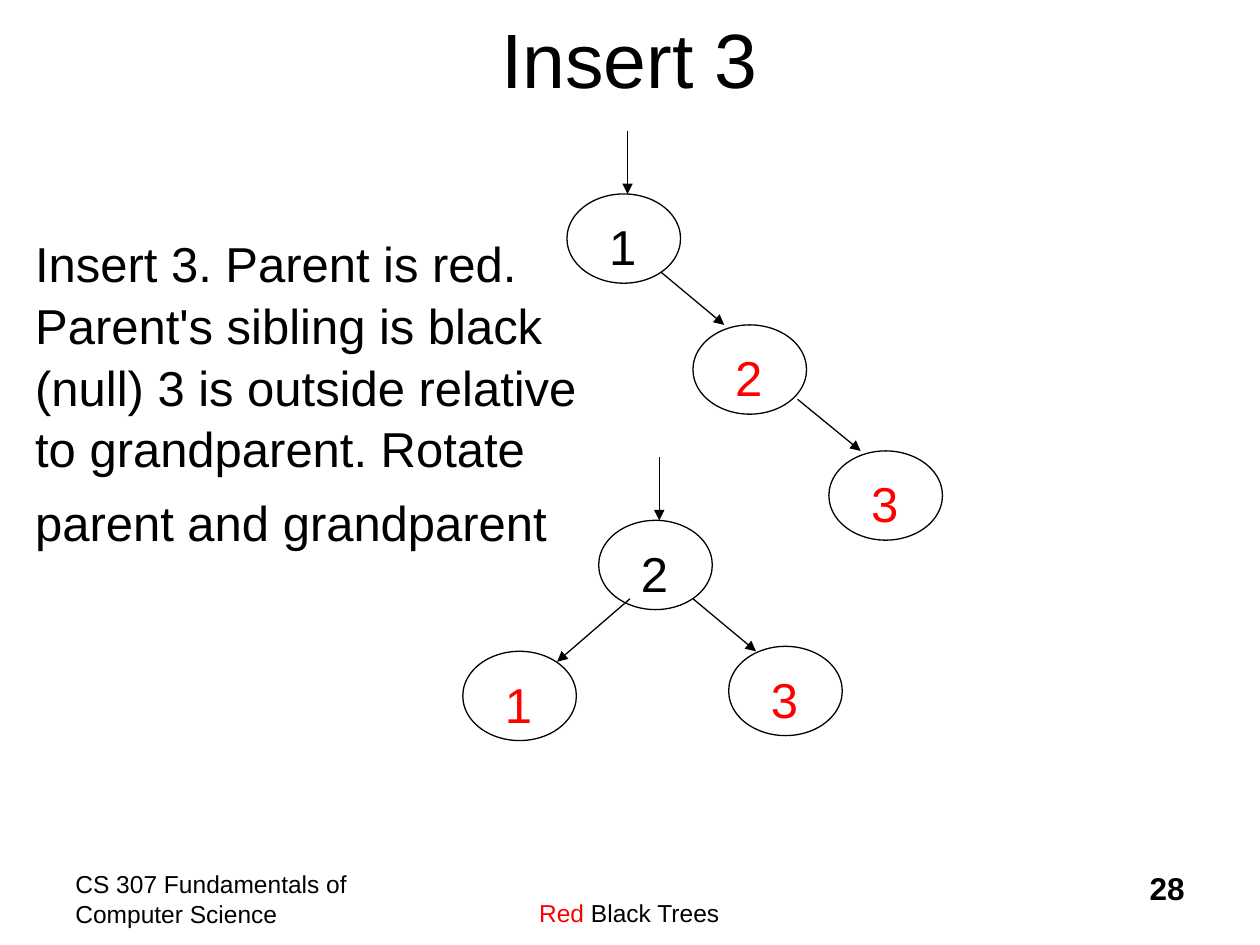
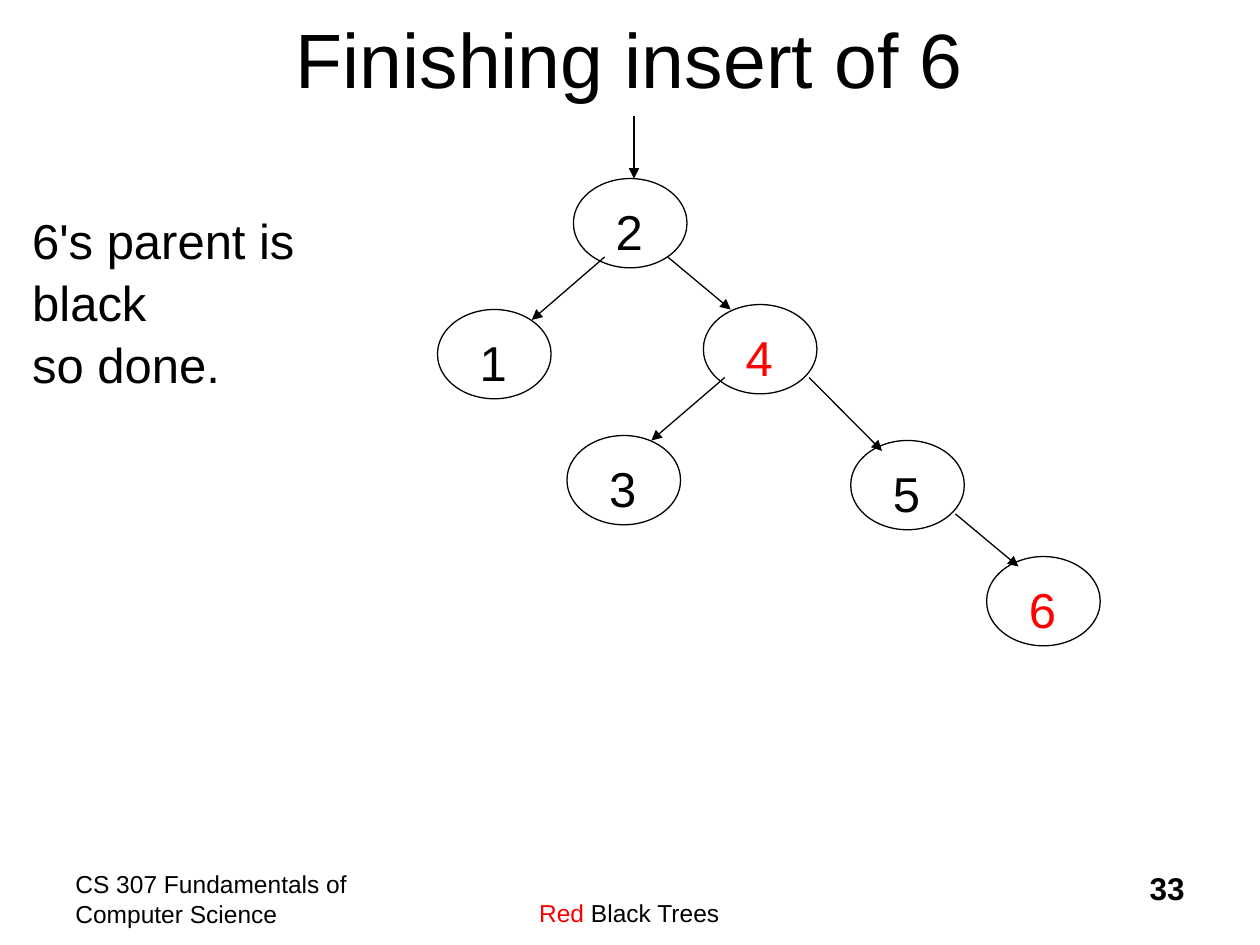
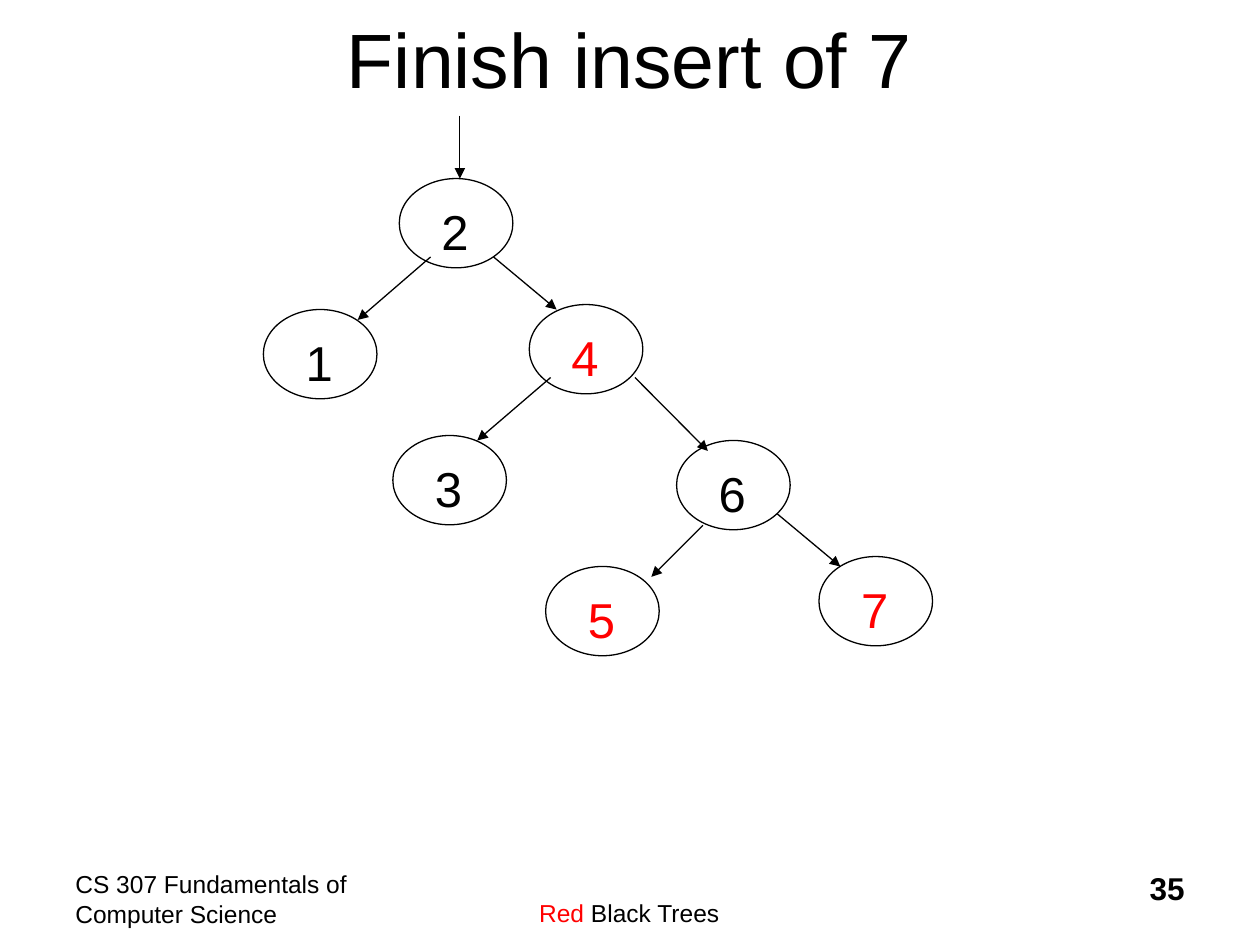
from lxml import etree
from pptx import Presentation
from pptx.dml.color import RGBColor
from pptx.enum.shapes import MSO_CONNECTOR, MSO_SHAPE
from pptx.enum.text import MSO_ANCHOR, PP_ALIGN
from pptx.oxml.ns import qn
from pptx.util import Cm, Pt

LEFT, CENTER, RIGHT = PP_ALIGN.LEFT, PP_ALIGN.CENTER, PP_ALIGN.RIGHT
TOP, MIDDLE, BOTTOM = MSO_ANCHOR.TOP, MSO_ANCHOR.MIDDLE, MSO_ANCHOR.BOTTOM
OVAL, STRAIGHT = MSO_SHAPE.OVAL, MSO_CONNECTOR.STRAIGHT

BLACK, RED = "000000", "FF0000"

# Tree parts in cm, measured from the top left of the root oval.
# An arrow is x1, y1, x2, y2 and leads into its node.
ROOT_SPOT, ROOT_ARROW = (0, 0), (1.22, -1.27, 1.22, 0)
LEFT_SPOT, LEFT_ARROW = (-2.74, 2.64), (0.63, 1.58, -0.84, 2.85)
RIGHT_SPOT, RIGHT_ARROW = (2.62, 2.54), (1.9, 1.58, 3.17, 2.64)


def color(hex_value):
    return RGBColor.from_string(hex_value)


def assign(target, values):
    for attribute, value in values.items():
        setattr(target, attribute, value)


def root_with_children(root, left, right):
    """Each argument is a (label, colour) pair."""
    return [(*root, ROOT_SPOT, ROOT_ARROW),
            (*left, LEFT_SPOT, LEFT_ARROW),
            (*right, RIGHT_SPOT, RIGHT_ARROW)]


def large_tree(right_grandchild):
    """Nodes that the last two slides have in common."""
    return root_with_children(("2", BLACK), ("1", BLACK), ("4", RED)) + [
        ("3", BLACK, (-0.13, 5.18), (3.05, 4.01, 1.57, 5.28)),
        (right_grandchild, BLACK, (5.59, 5.28), (4.75, 4.01, 6.22, 5.49)),
    ]


class Deck:
    font_name = "Arial"
    oval_size = (2.29, 1.8)
    label_offset = (0.6, 0.2)
    label_size = (1.04, 1.45)

    def __init__(self):
        self.presentation = Presentation()
        assign(self.presentation, {"slide_width": Cm(25.4), "slide_height": Cm(19.05)})
        self.slide = None

    def new_slide(self, title, number):
        layout = self.presentation.slide_layouts[6]
        self.slide = self.presentation.slides.add_slide(layout)
        # Footer
        self.text((1.27, 17.35, 6.35, 1.27),
                  [[("CS 307 Fundamentals of Computer Science", BLACK)]], 14)
        self.text((7.82, 17.35, 9.73, 1.35),
                  [[("Red", RED), (" Black Trees", BLACK)]], 14, align=CENTER,
                  frame={"vertical_anchor": BOTTOM, "margin_bottom": 0})
        self.text((18.85, 17.35, 5.28, 1.27), [[(number, BLACK)]], 18,
                  align=RIGHT, bold=True)
        # Title
        self.text((1.9, -0.43, 21.59, 3.18), [[(title, BLACK)]], 44, align=CENTER,
                  spacing=1.0, frame={"vertical_anchor": MIDDLE})

    def text(self, box, paragraphs, size, align=LEFT, bold=False, spacing=1.05,
             frame=None):
        """Paragraphs are lists of (text, colour) runs; a newline breaks the line."""
        text_frame = self.slide.shapes.add_textbox(*map(Cm, box)).text_frame
        assign(text_frame, {"word_wrap": True, "vertical_anchor": TOP,
                            "margin_left": Cm(0.25), "margin_right": Cm(0.25),
                            "margin_top": Cm(0.13), "margin_bottom": Cm(0.13),
                            **(frame or {})})
        for index, runs in enumerate(paragraphs):
            paragraph = text_frame.add_paragraph() if index else text_frame.paragraphs[0]
            assign(paragraph, {"alignment": align, "line_spacing": spacing,
                               "space_before": Pt(7 if index else 0)})
            for words, hue in runs:
                for row, line in enumerate(words.split("\n")):
                    if row:
                        paragraph.add_line_break()
                    run = paragraph.add_run()
                    run.text = line
                    assign(run.font, {"name": self.font_name, "size": Pt(size),
                                      "bold": bold})
                    run.font.color.rgb = color(hue)

    def large_text(self, box, paragraphs):
        self.text(box, paragraphs, 28,
                  frame={"word_wrap": False, "margin_top": Cm(0.2)})

    def outline(self, line):
        line.color.rgb = color(BLACK)
        line.width = Pt(0.75)

    def node(self, label, hue, left, top):
        oval = self.slide.shapes.add_shape(
            OVAL, Cm(left), Cm(top), *map(Cm, self.oval_size))
        oval.shadow.inherit = False
        oval.fill.background()
        self.outline(oval.line)
        dx, dy = self.label_offset
        self.large_text((left + dx, top + dy, *self.label_size), [[(label, hue)]])

    def arrow(self, x1, y1, x2, y2):
        connector = self.slide.shapes.add_connector(
            STRAIGHT, Cm(x1), Cm(y1), Cm(x2), Cm(y2))
        self.outline(connector.line)
        etree.SubElement(connector.line._get_or_add_ln(), qn("a:tailEnd"), type="triangle")
        etree.SubElement(connector._element.spPr, qn("a:effectLst"))

    def tree(self, left, top, nodes):
        for label, hue, (x, y), _ in nodes:
            self.node(label, hue, left + x, top + y)
        for *_, (x1, y1, x2, y2) in nodes:
            self.arrow(left + x1, top + y1, left + x2, top + y2)


def main():
    deck = Deck()

    # Insert 3: before and after the rotation
    deck.new_slide("Insert 3", "28")
    deck.tree(11.43, 3.91, [
        ("1", BLACK, ROOT_SPOT, ROOT_ARROW),
        ("2", RED, (2.54, 2.64), RIGHT_ARROW),
        ("3", RED, (5.28, 5.18), (4.65, 4.14, 5.92, 5.18)),
    ])
    deck.tree(12.07, 10.49, root_with_children(("2", BLACK), ("1", RED), ("3", RED)))
    deck.large_text((0.46, 4.45, 11.68, 6.43), [
        [("Insert 3. Parent is red.\nParent's sibling is black\n"
          "(null) 3 is outside relative\nto grandparent. Rotate", BLACK)],
        [("parent and grandparent", BLACK)],
    ])

    # Insert 6
    deck.new_slide("Finishing insert of 6", "33")
    deck.tree(11.56, 3.6, large_tree("5") + [
        ("6", RED, (8.33, 7.62), (7.7, 6.76, 8.97, 7.82)),
    ])
    deck.large_text((0.4, 3.99, 8.36, 2.64),
                    [[("6's parent is black\nso done.", BLACK)]])

    # Insert 7
    deck.new_slide("Finish insert of 7", "35")
    deck.tree(8.05, 3.6, large_tree("6") + [
        ("5", RED, (2.95, 7.82), (6.12, 6.99, 5.08, 8.03)),
        ("7", RED, (8.46, 7.62), (7.62, 6.76, 8.89, 7.82)),
    ])

    deck.presentation.save("out.pptx")


if __name__ == "__main__":
    main()
